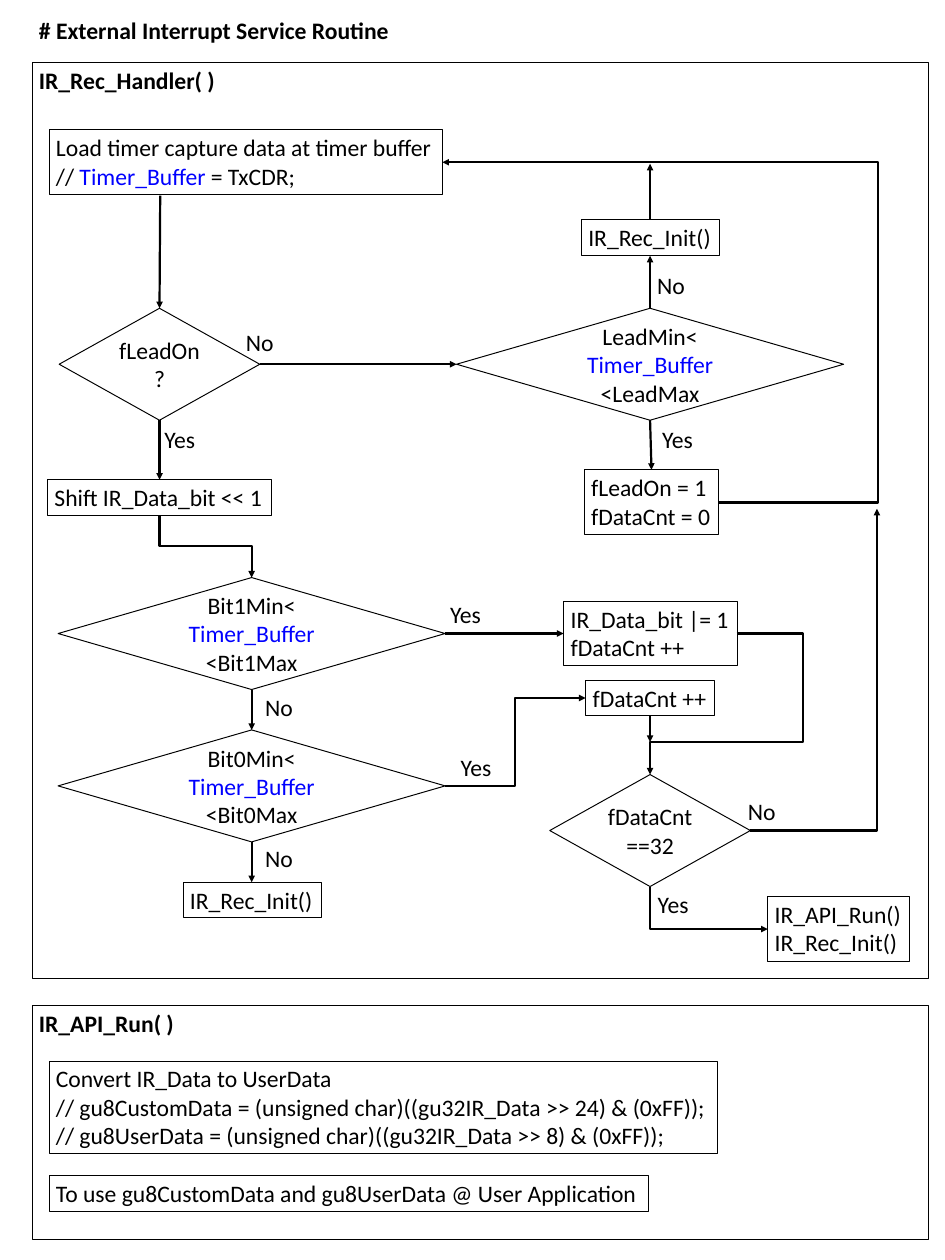
from pptx import Presentation
from pptx.dml.color import RGBColor
from pptx.enum.shapes import MSO_CONNECTOR as LINK, MSO_SHAPE as SHAPE
from pptx.enum.text import MSO_ANCHOR as ANCHOR, MSO_AUTO_SIZE as SIZING, PP_ALIGN as ALIGN
from pptx.oxml.ns import qn
from pptx.util import Inches, Pt
from lxml.etree import SubElement

COLORS = {"ink": "000000", "variable": "0000FF", "paper": "FFFFFF"}
VARIABLE = "Timer_Buffer"
LINE_H = 0.5
BOX_H = 0.91
DIAMOND_H = 1.58
LEFT_X, BIT_X, RIGHT_X = 2.25, 3.55, 9.17  # centres of the flow columns

prs = Presentation()
prs.slide_width, prs.slide_height = Inches(13.33), Inches(17.78)
slide = prs.slides.add_slide(prs.slide_layouts[5])
shapes = slide.shapes


def write(shape, lines, bold=False, align=ALIGN.LEFT, anchor=ANCHOR.TOP, wrap=False, grow=True):
    """Fill a shape with lines of text, marking the timer variable in its own colour."""
    frame = shape.text_frame
    frame.word_wrap = wrap
    frame.auto_size = SIZING.SHAPE_TO_FIT_TEXT if grow else SIZING.NONE
    frame.vertical_anchor = anchor
    for number, line in enumerate(lines):
        paragraph = frame.add_paragraph() if number else frame.paragraphs[0]
        paragraph.alignment = align
        for part in filter(None, line.partition(VARIABLE)):
            run = paragraph.add_run()
            run.text = part
            run.font.name, run.font.size, run.font.bold = "Calibri", Pt(24), bold
            color = "variable" if part == VARIABLE else "ink"
            run.font.color.rgb = RGBColor.from_string(COLORS[color])


def arrow(start, end, bend=None, adjust=(), downward=False):
    """Draw an arrow; bend names an elbow preset, downward makes it leave vertically."""
    (x1, y1), (x2, y2) = start, end
    if downward:  # lay the elbow on its side, then turn it about its centre
        cx, cy, dx, dy = (x1 + x2) / 2, (y1 + y2) / 2, x2 - x1, y2 - y1
        x1, y1, x2, y2 = cx + dy / 2, cy - dx / 2, cx - dy / 2, cy + dx / 2
    kind = LINK.ELBOW if bend else LINK.STRAIGHT
    link = shapes.add_connector(kind, Inches(x1), Inches(y1), Inches(x2), Inches(y2))
    link.line.color.rgb = RGBColor.from_string(COLORS["ink"])
    link.line.width = Pt(2.25)
    properties = link.element.spPr
    if bend:
        geometry = properties.find(qn("a:prstGeom"))
        geometry.set("prst", bend)
        guides = geometry.find(qn("a:avLst"))
        if guides is None:
            guides = SubElement(geometry, qn("a:avLst"))
        for number, value in enumerate(adjust, 1):
            name = f"adj{number}" if len(adjust) > 1 or bend != "bentConnector3" else "adj1"
            SubElement(guides, qn("a:gd"), name=name, fmla=f"val {round(value * 100000)}")
    if downward:
        properties.find(qn("a:xfrm")).set("rot", str(270 * 60000))
    SubElement(properties.find(qn("a:ln")), qn("a:tailEnd"), type="triangle")
    SubElement(properties, qn("a:effectLst"))


heading = shapes.title
heading.left, heading.top = Inches(0.45), Inches(0.17)
heading.width, heading.height = Inches(5.19), Inches(LINE_H)
write(heading, ["# External Interrupt Service Routine"], bold=True)

panels = [
    (0.88, 12.92, "IR_Rec_Handler( )"),
    (14.19, 3.3, "IR_API_Run( )"),
]
for top, height, routine in panels:
    panel = shapes.add_shape(SHAPE.RECTANGLE, Inches(0.45), Inches(top), Inches(12.65), Inches(height))
    panel.shadow.inherit = False
    panel.fill.background()
    panel.line.color.rgb = RGBColor.from_string(COLORS["ink"])
    panel.line.width = Pt(0.75)
    write(panel, [routine], bold=True, wrap=True, grow=False)

steps = [
    (0.69, 1.83, 5.55, BOX_H, ["Load timer capture data at timer buffer", "// Timer_Buffer = TxCDR;"]),
    (0.67, 6.77, 3.16, LINE_H, ["Shift IR_Data_bit << 1"]),
    (8.24, 6.63, 1.89, BOX_H, ["fLeadOn = 1", "fDataCnt = 0"]),
    (8.2, 3.1, 1.95, LINE_H, ["IR_Rec_Init()"]),
    (2.58, 12.45, 1.95, LINE_H, ["IR_Rec_Init()"]),
    (7.95, 8.48, 2.45, BOX_H, ["IR_Data_bit |= 1", "fDataCnt ++"]),
    (8.26, 9.6, 1.82, LINE_H, ["fDataCnt ++"]),
    (10.83, 12.65, 2, BOX_H, ["IR_API_Run()", "IR_Rec_Init()"]),
    (0.69, 14.97, 9.43, 1.31, [
        "Convert IR_Data to UserData",
        "// gu8CustomData = (unsigned char)((gu32IR_Data >> 24) & (0xFF));",
        "// gu8UserData = (unsigned char)((gu32IR_Data >> 8) & (0xFF));",
    ]),
    (0.69, 16.59, 8.46, LINE_H, ["To use gu8CustomData and gu8UserData @ User Application"]),
]
for left, top, width, height, lines in steps:
    step = shapes.add_shape(SHAPE.RECTANGLE, Inches(left), Inches(top), Inches(width), Inches(height))
    step.shadow.inherit = False
    step.fill.background()
    step.line.color.rgb = RGBColor.from_string(COLORS["ink"])
    step.line.width = Pt(0.75)
    write(step, lines)

decisions = [
    (LEFT_X, 4.35, 2.83, ["fLeadOn?"]),
    (RIGHT_X, 4.35, 5.46, ["LeadMin<", VARIABLE, "<LeadMax"]),
    (BIT_X, 8.15, 5.46, ["Bit1Min<", VARIABLE, "<Bit1Max"]),
    (BIT_X, 10.3, 5.46, ["Bit0Min<", VARIABLE, "<Bit0Max"]),
    (RIGHT_X, 10.93, 2.83, ["fDataCnt==32"]),
]
for center, top, width, lines in decisions:
    decision = shapes.add_shape(
        SHAPE.DIAMOND, Inches(center - width / 2), Inches(top), Inches(width), Inches(DIAMOND_H))
    decision.shadow.inherit = False
    decision.fill.solid()
    decision.fill.fore_color.rgb = RGBColor.from_string(COLORS["paper"])
    decision.line.color.rgb = RGBColor.from_string(COLORS["ink"])
    decision.line.width = Pt(1)
    write(decision, lines, align=ALIGN.CENTER, anchor=ANCHOR.MIDDLE, wrap=True, grow=False)

answers = {
    "Yes": [(2.22, 5.95), (9.24, 5.95), (6.25, 8.41), (6.4, 10.57), (9.18, 12.51)],
    "No": [(3.37, 4.58), (9.17, 3.78), (3.64, 9.73), (3.64, 11.86), (10.45, 11.2)],
}
for answer, places in answers.items():
    for left, top in places:
        width = 0.64 if answer == "Yes" else 0.6
        label = shapes.add_textbox(Inches(left), Inches(top), Inches(width), Inches(LINE_H))
        write(label, [answer])

straight_flows = [
    ((2.26, 2.76), (LEFT_X, 4.35)),
    ((LEFT_X, 5.93), (LEFT_X, 6.77)),
    ((3.67, 5.14), (6.44, 5.14)),
    ((RIGHT_X, 5.93), (9.19, 6.63)),
    ((RIGHT_X, 4.35), (RIGHT_X, 3.61)),
    ((RIGHT_X, 3.1), (RIGHT_X, 2.31)),
    ((BIT_X, 9.73), (BIT_X, 10.3)),
    ((BIT_X, 11.88), (BIT_X, 12.45)),
    ((6.28, 8.94), (7.95, 8.94)),
    ((RIGHT_X, 10.1), (RIGHT_X, 10.47)),
]
for start, end in straight_flows:
    arrow(start, end)

arrow((10.13, 7.09), (6.24, 2.29), "bentConnector3", [-0.58])
arrow((LEFT_X, 7.27), (BIT_X, 8.15), "bentConnector3", [0.5], downward=True)
arrow((6.28, 11.09), (8.26, 9.85), "bentConnector3", [0.5])
arrow((10.58, 11.72), (12.37, 7.18), "bentConnector2")
arrow((RIGHT_X, 12.51), (10.83, 13.11), "bentConnector2", downward=True)
arrow((10.39, 8.94), (RIGHT_X, 10.93), "bentConnector4", [-0.77, 0.77])

prs.save("out.pptx")
